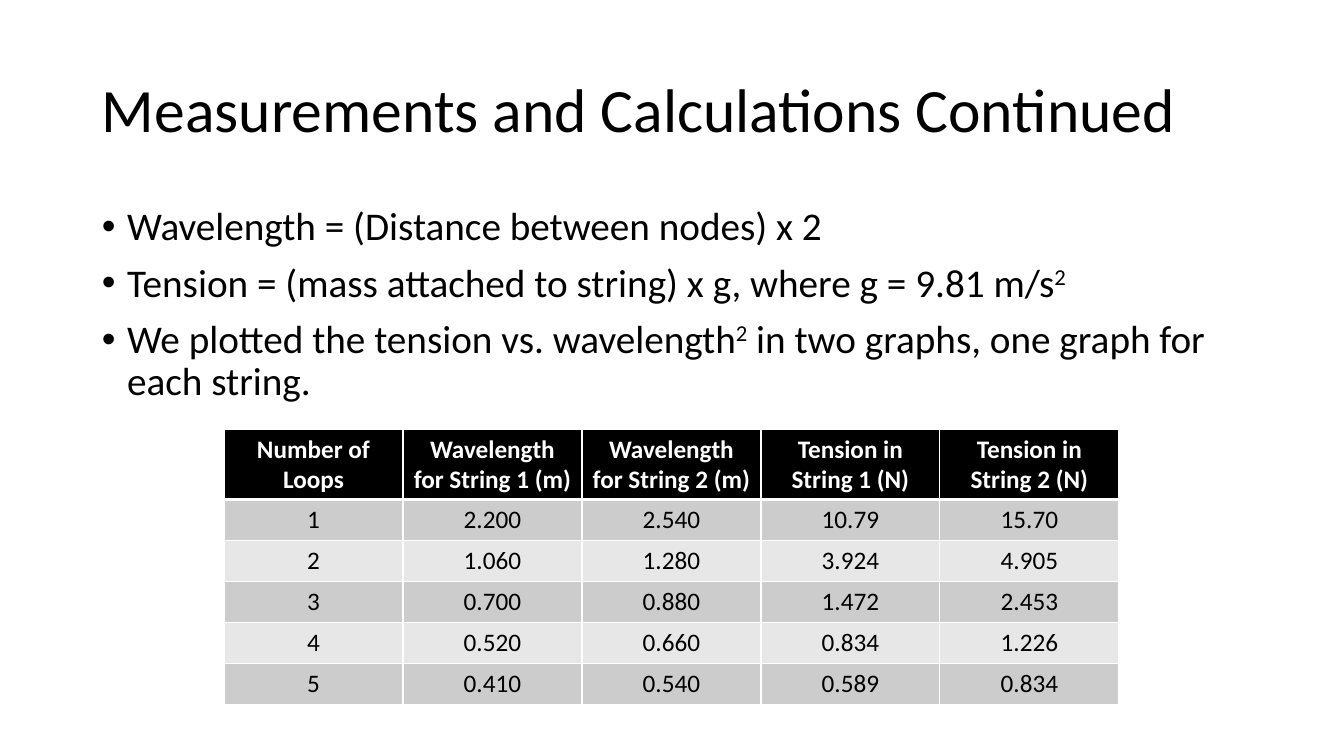
import lxml.etree
import pptx
import pptx.dml.color
import pptx.enum.text
import pptx.oxml.ns
import pptx.util

PIXEL = 914400 / 100.8
BLACK, WHITE = "000000", "FFFFFF"
BAND_FILLS = ("CCCCCC", "E7E7E7")
TITLE = "Measurements and Calculations Continued"
# Each point is a list of pieces; every second piece is superscript.
POINTS = [
    ["Wavelength = (Distance between nodes) x 2"],
    ["Tension = (mass attached to string) x g, where g = 9.81 m/s", "2"],
    ["We plotted the tension vs. wavelength", "2",
     " in two graphs, one graph for each string. "],
]
MEASUREMENTS = [
    ["Number of Loops", "Wavelength for String 1 (m)", "Wavelength for String 2 (m)",
     "Tension in String 1 (N)", "Tension in String 2 (N)"],
    ["1", "2.200", "2.540", "10.79", "15.70"],
    ["2", "1.060", "1.280", "3.924", "4.905"],
    ["3", "0.700", "0.880", "1.472", "2.453"],
    ["4", "0.520", "0.660", "0.834", "1.226"],
    ["5", "0.410", "0.540", "0.589", "0.834"],
]


def px(length):
    """Turn pixels into EMU."""
    return pptx.util.Emu(round(length * PIXEL))


def rgb(value):
    """Turn a hex string into a colour."""
    return pptx.dml.color.RGBColor.from_string(value)


def add_child(parent, tag, **attributes):
    """Append a DrawingML element with the given attributes."""
    return lxml.etree.SubElement(parent, pptx.oxml.ns.qn(tag), attributes)


def style(paragraph, size, color=BLACK, bold=False):
    """Set the font of a whole paragraph."""
    font = paragraph.font
    font.name, font.size, font.bold = "Calibri", pptx.util.Pt(size), bold
    font.color.rgb = rgb(color)


def add_frame(slide, box):
    """Add a wrapping text box and return its text frame."""
    frame = slide.shapes.add_textbox(*map(px, box)).text_frame
    frame.word_wrap = True
    return frame


def add_title(slide, box):
    """Place the slide title, centred vertically in the box."""
    frame = add_frame(slide, box)
    frame.vertical_anchor = pptx.enum.text.MSO_ANCHOR.MIDDLE
    heading = frame.paragraphs[0]
    heading.text = TITLE
    heading.line_spacing = 0.9
    style(heading, 44)


def add_points(slide, box):
    """Place the bulleted points with their superscripts."""
    frame = add_frame(slide, box)
    for index, pieces in enumerate(POINTS):
        point = frame.add_paragraph() if index else frame.paragraphs[0]
        point.line_spacing = 0.9
        point.space_before = pptx.util.Pt(10)
        properties = point._p.get_or_add_pPr()
        indent = pptx.util.Inches(0.25)
        properties.set("marL", str(indent))
        properties.set("indent", str(-indent))
        add_child(properties, "a:buFont", typeface="Arial")
        add_child(properties, "a:buChar", char="•")
        style(point, 28)
        for position, piece in enumerate(pieces):
            run = point.add_run()
            run.text = piece
            if position % 2:
                run._r.get_or_add_rPr().set("baseline", "30000")


def add_borders(cell, bottom_width):
    """Draw white borders round a cell."""
    properties = cell._tc.get_or_add_tcPr()
    for side, width in (("L", 1), ("R", 1), ("T", 1), ("B", bottom_width)):
        line = add_child(properties, f"a:ln{side}", w=str(pptx.util.Pt(width)))
        add_child(add_child(line, "a:solidFill"), "a:srgbClr", val=WHITE)


def add_measurements(slide, box, header_height):
    """Place the table: a tall header row, then equal banded rows."""
    rows, columns = len(MEASUREMENTS), len(MEASUREMENTS[0])
    table = slide.shapes.add_table(rows, columns, *map(px, box)).table
    row_height = (box[3] - header_height) / (rows - 1)
    for column in table.columns:
        column.width = px(box[2] / columns)
    for r, values in enumerate(MEASUREMENTS):
        header = r == 0
        table.rows[r].height = px(header_height if header else row_height)
        for c, value in enumerate(values):
            cell = table.cell(r, c)
            add_borders(cell, 3 if header else 1)
            cell.fill.solid()
            cell.fill.fore_color.rgb = rgb(BLACK if header else BAND_FILLS[(r - 1) % 2])
            entry = cell.text_frame.paragraphs[0]
            entry.text = value
            entry.alignment = pptx.enum.text.PP_ALIGN.CENTER
            style(entry, 18, WHITE if header else BLACK, header)


def main():
    """Build and save the slide."""
    deck = pptx.Presentation()
    deck.slide_width, deck.slide_height = px(1344), px(756)
    slide = deck.slides.add_slide(deck.slide_layouts[6])
    add_title(slide, (92, 40, 1159, 146))
    add_points(slide, (92, 202, 1159, 480))
    add_measurements(slide, (224, 429, 895, 275), 70)
    deck.save("out.pptx")


main()
